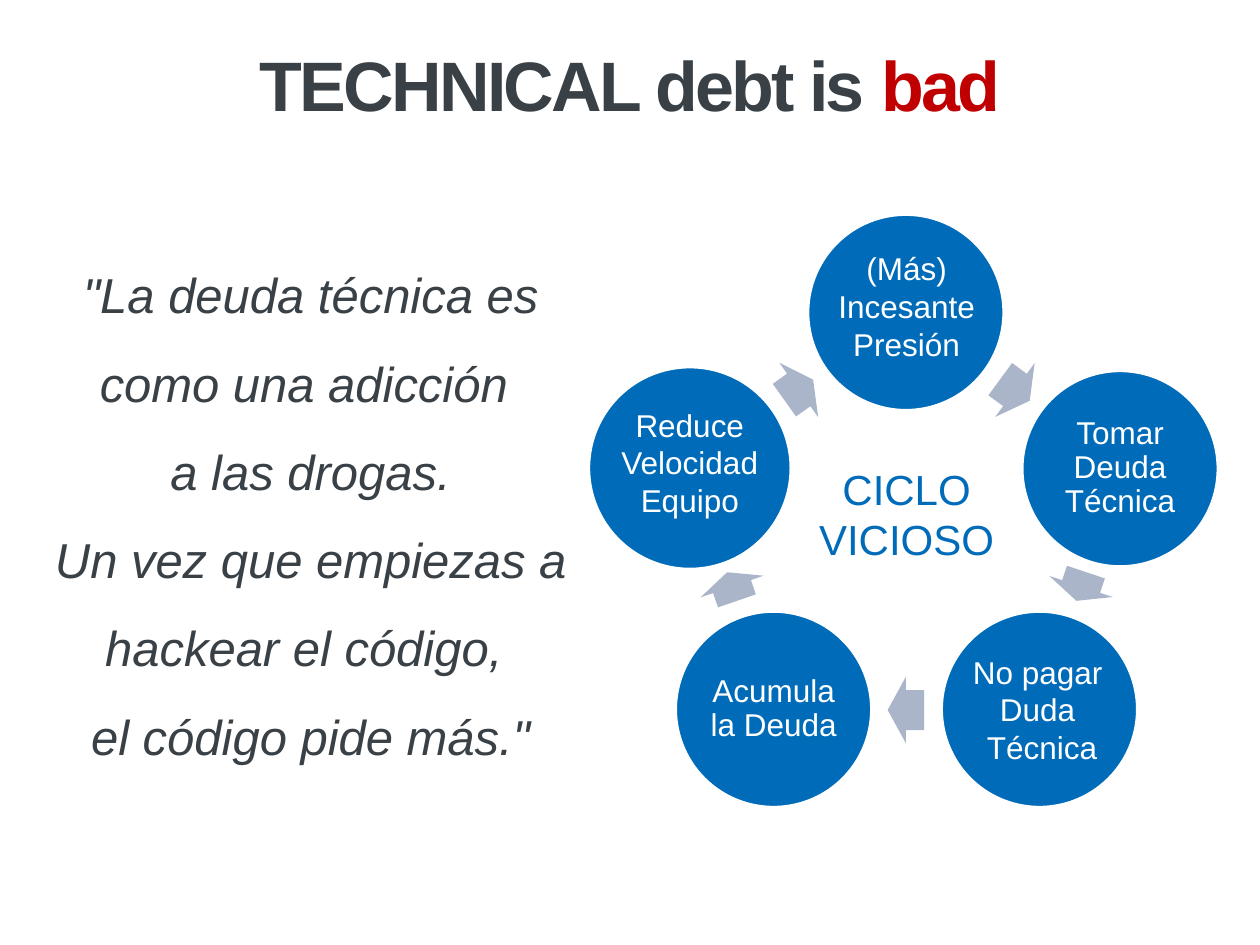
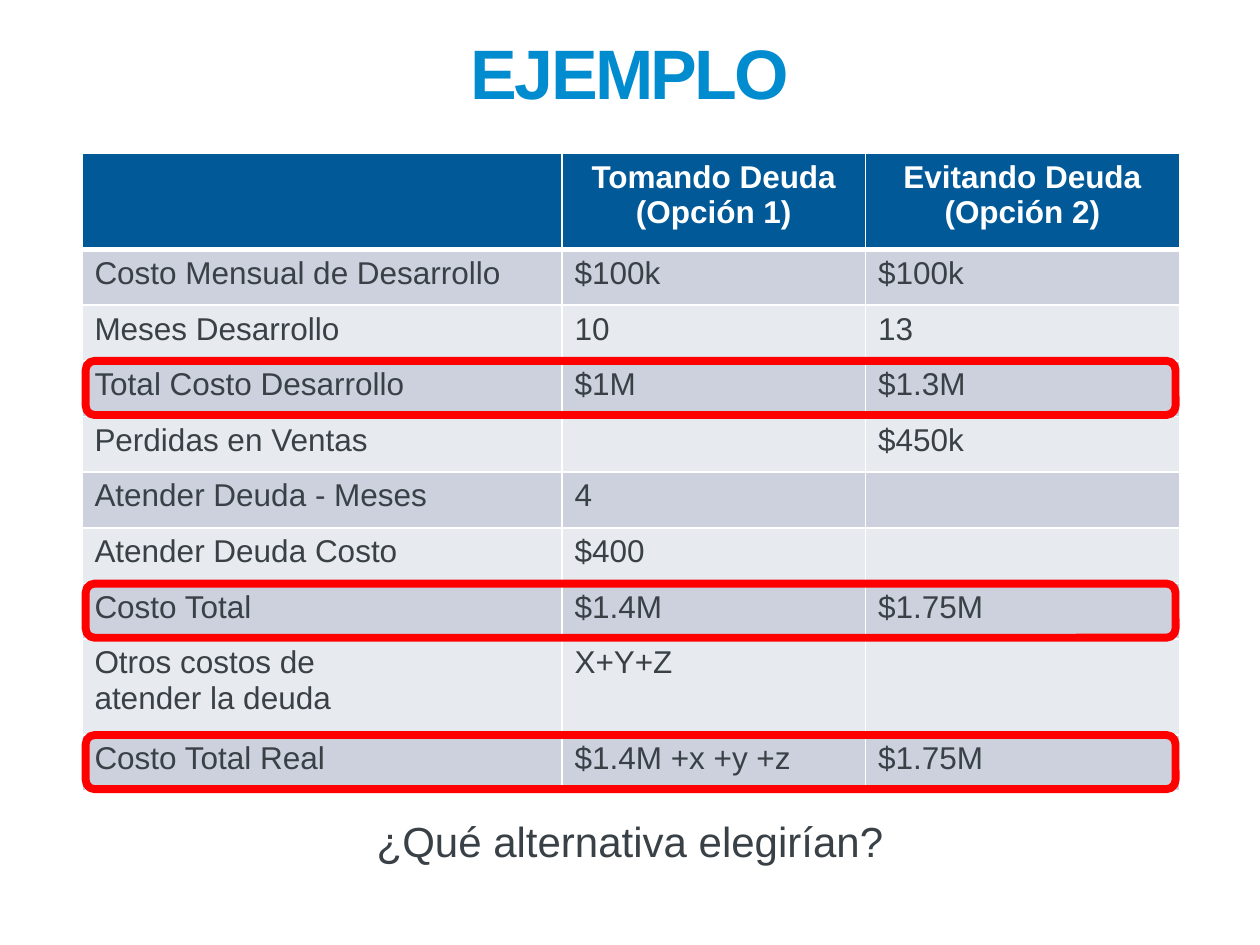
from lxml.etree import SubElement
from pptx import Presentation
from pptx.dml.color import RGBColor
from pptx.enum.shapes import MSO_SHAPE
from pptx.enum.text import MSO_ANCHOR, MSO_AUTO_SIZE, PP_ALIGN
from pptx.oxml.ns import qn
from pptx.util import Inches, Pt

WIDTH, HEIGHT = Inches(10), Inches(7.5)
COLUMN, ROW = WIDTH / 100, HEIGHT / 75
FONT = "Arial"
COLORS = {
    "ink": "394147",
    "white": "FFFFFF",
    "bad": "C00000",
    "circle": "006CB9",
    "arrow": "ABB5CA",
    "title": "018CCF",
    "header": "015998",
    "band_dark": "CCD1DD",
    "band_light": "E7EAEF",
    "highlight": "FF0000",
}

AXIS = 71.9
STEPS = [
    ("(Más)\nIncesante\nPresión", (AXIS, 24.8), 15.6, (65.4, 19.3, 13.1, 10.3)),
    ("Tomar Deuda Técnica", (88.9, 37.2), 15.6, None),
    ("No pagar \nDuda \nTécnica", (82.5, 56.3), 15.6, (76, 51.3, 13.4, 10.1)),
    ("Acumula la Deuda", (61.4, 56.3), 15.6, None),
    ("Reduce\nVelocidad\nEquipo", (54.75, 37.15), 16.1, (48.1, 31.7, 13.3, 10.3)),
]
ARROWS = [
    (8.65, 30.95, 2.9, 36.2),
    (13.9, 46.55, 2.4, 108.4),
    (0, 56.35, 2.9, 180),
    (-13.8, 46.55, 2.4, 251),
    (-8.5, 30.95, 2.8, 324.5),
]

TABLE_LEFT, TABLE_TOP = 6.5, 12.2
TABLE_COLUMNS = [38.1, 24.1, 24.9]
LINE_ROW, TALL_ROW = 4.42, 7.6
COSTS = [
    ("", "Tomando Deuda (Opción 1)", "Evitando Deuda (Opción 2)"),
    ("Costo Mensual de Desarrollo", "$100k", "$100k"),
    ("Meses Desarrollo", "10", "13"),
    ("Total Costo Desarrollo", "$1M", "$1.3M"),
    ("Perdidas en Ventas", "", "$450k"),
    ("Atender Deuda - Meses", "4", ""),
    ("Atender Deuda Costo", "$400", ""),
    ("Costo Total", "$1.4M", "$1.75M"),
    ("Otros costos de \natender la deuda", "X+Y+Z", ""),
    ("Costo Total Real", "$1.4M +x +y +z", "$1.75M"),
]
TALL_ROWS = (0, 8)
TOTAL_ROWS = (3, 7, 9)


def color(name):
    return RGBColor.from_string(COLORS[name])


def grid(left, top, width, height):
    return [round(left * COLUMN), round(top * ROW),
            round(width * COLUMN), round(height * ROW)]


def centered(x, y, width, height):
    return x - width / 2, y - height / 2, width, height


def write(frame, paragraphs, size=18, ink="ink", bold=False, italic=False,
          align=PP_ALIGN.CENTER, line_spacing=None, tracking=None):
    for number, runs in enumerate(paragraphs):
        paragraph = frame.paragraphs[0] if number == 0 else frame.add_paragraph()
        paragraph.alignment = align
        if line_spacing:
            paragraph.line_spacing = line_spacing
        for text, run_ink in [(runs, ink)] if isinstance(runs, str) else runs:
            for line_number, line in enumerate(text.split("\n")):
                if line_number:
                    paragraph.add_line_break()
                run = paragraph.add_run()
                run.text = line
                font = run.font
                font.name, font.size = FONT, Pt(size)
                font.bold, font.italic = bold, italic
                font.color.rgb = color(run_ink)
                if tracking:
                    font._element.set("spc", str(round(tracking * 100)))
        for line_break in paragraph._p.findall(qn("a:br")):
            SubElement(line_break, qn("a:rPr"), sz=str(size * 100))


def add_text(slide, box, paragraphs, wrap=True, grow=True, margin=None, **format):
    frame = slide.shapes.add_textbox(*grid(*box)).text_frame
    frame.word_wrap = wrap
    frame.auto_size = MSO_AUTO_SIZE.SHAPE_TO_FIT_TEXT if grow else MSO_AUTO_SIZE.NONE
    if not grow:
        frame.vertical_anchor = MSO_ANCHOR.MIDDLE
    if margin is not None:
        frame.margin_left = frame.margin_right = Inches(margin)
        frame.margin_top = frame.margin_bottom = Inches(margin)
    write(frame, paragraphs, **format)


def add_title(slide, top, runs):
    add_text(slide, (5, top, 90, 6.7), [runs], grow=False,
             size=40, bold=True, tracking=-1.5)


def add_shape(slide, kind, box, fill=None, line=None, line_width=2):
    shape = slide.shapes.add_shape(kind, *grid(*box))
    shape.shadow.inherit = False
    if fill:
        shape.fill.solid()
        shape.fill.fore_color.rgb = color(fill)
    else:
        shape.fill.background()
    if line:
        shape.line.color.rgb = color(line)
        shape.line.width = Pt(line_width)
    else:
        shape.line.fill.background()
    return shape


def add_step(slide, text, center, diameter, label_box):
    add_shape(slide, MSO_SHAPE.OVAL, centered(*center, diameter, diameter),
              fill="circle", line="white")
    if label_box:
        add_text(slide, label_box, [text], wrap=False, ink="white")
    else:
        add_text(slide, centered(*center, 11, 11), [text], grow=False,
                 margin=0.03, ink="white", line_spacing=0.9)


def add_arrow(slide, offset, y, length, rotation):
    arrow = add_shape(slide, MSO_SHAPE.RIGHT_ARROW,
                      centered(AXIS + offset, y, length, 5.3), fill="arrow")
    arrow.adjustments[0], arrow.adjustments[1] = 0.6, 0.5
    arrow.rotation = rotation


def set_borders(cell, bottom_width):
    properties = cell._tc.get_or_add_tcPr()
    for side, width in zip("LRTB", (1, 1, 1, bottom_width)):
        border = SubElement(properties, qn(f"a:ln{side}"), w=str(Pt(width)))
        fill = SubElement(border, qn("a:solidFill"))
        SubElement(fill, qn("a:srgbClr"), val=COLORS["white"])


def add_cost_table(slide, heights):
    box = TABLE_LEFT, TABLE_TOP, sum(TABLE_COLUMNS), sum(heights)
    table = slide.shapes.add_table(len(COSTS), len(TABLE_COLUMNS), *grid(*box)).table
    for column, width in zip(table.columns, TABLE_COLUMNS):
        column.width = round(width * COLUMN)
    for index, (values, height) in enumerate(zip(COSTS, heights)):
        table.rows[index].height = round(height * ROW)
        header = index == 0
        band = "header" if header else "band_dark" if index % 2 else "band_light"
        for cell, text in zip(table.rows[index].cells, values):
            set_borders(cell, 3 if header else 1)
            cell.fill.solid()
            cell.fill.fore_color.rgb = color(band)
            if text:
                write(cell.text_frame, [text], bold=header,
                      ink="white" if header else "ink",
                      align=PP_ALIGN.CENTER if header else PP_ALIGN.LEFT)


def build_cycle_slide(slide):
    add_title(slide, 3.3, [("TECHNICAL debt is ", "ink"), ("bad", "bad")])
    add_text(slide, (2.8, 18.2, 43.7, 43.4),
             ['"La deuda técnica es como una adicción \na las drogas.',
              'Un vez que empiezas a hackear el código, \nel código pide más."'],
             size=28, italic=True, line_spacing=1.5)
    for step in STEPS:
        add_step(slide, *step)
    for arrow in ARROWS:
        add_arrow(slide, *arrow)
    add_text(slide, (63.5, 36.3, 16.9, 9.1), ["CICLO\nVICIOSO"],
             wrap=False, size=24, ink="circle")


def build_example_slide(slide):
    add_title(slide, 2.3, [("EJEMPLO", "title")])
    add_text(slide, (15.2, 64.2, 69.6, 5), ["¿Qué alternativa elegirían?"], size=24)
    heights = [TALL_ROW if index in TALL_ROWS else LINE_ROW
               for index in range(len(COSTS))]
    add_cost_table(slide, heights)
    for index in TOTAL_ROWS:
        top = TABLE_TOP + sum(heights[:index])
        add_shape(slide, MSO_SHAPE.ROUNDED_RECTANGLE, (6.8, top, 86.5, 4.3),
                  line="highlight", line_width=4.5)


def main():
    presentation = Presentation()
    presentation.slide_width, presentation.slide_height = WIDTH, HEIGHT
    for build in (build_cycle_slide, build_example_slide):
        build(presentation.slides.add_slide(presentation.slide_layouts[6]))
    presentation.save("out.pptx")


if __name__ == "__main__":
    main()
